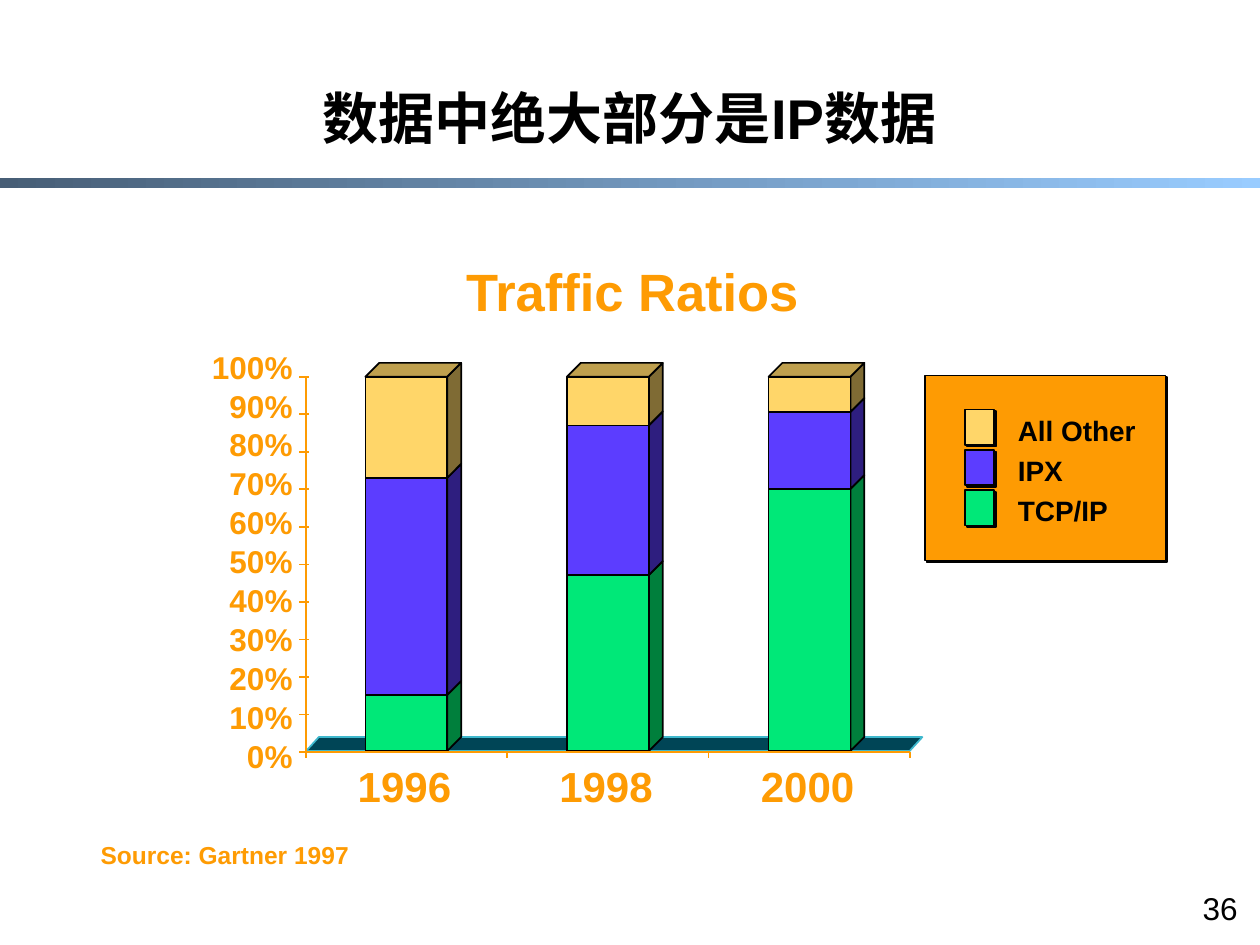
from dataclasses import dataclass

from lxml.etree import SubElement
from pptx import Presentation
from pptx.dml.color import RGBColor
from pptx.enum.shapes import MSO_CONNECTOR, MSO_SHAPE
from pptx.enum.text import MSO_ANCHOR, PP_ALIGN
from pptx.oxml.ns import qn
from pptx.util import Inches, Pt

BLACK = RGBColor(0x00, 0x00, 0x00)
ORANGE = RGBColor(0xFE, 0x9B, 0x03)
FLOOR_FILL = RGBColor(0x00, 0x45, 0x56)
FLOOR_LINE = RGBColor(0x3F, 0xB8, 0xCD)
CAP_FILL = RGBColor(0xBF, 0xA0, 0x4E)
RULE_DARK = RGBColor(0x47, 0x5E, 0x76)
RULE_LIGHT = RGBColor(0x99, 0xCC, 0xFF)

AXIS_LEFT, AXIS_RIGHT, AXIS_Y = 2.43, 7.22, 5.97
SCALE_HEIGHT = 2.98
BAR_LEFT, BAR_STEP, BAR_WIDTH = 2.9, 1.6, 0.65
BAR_BASE, BAR_HEIGHT, DEPTH = 5.96, 2.97, 0.11
LEGEND_STEP = 0.32


@dataclass(frozen=True)
class Series:
    name: str
    front: RGBColor
    side: RGBColor


@dataclass(frozen=True)
class Bar:
    year: str
    shares: tuple[float, ...]


@dataclass(frozen=True)
class Label:
    text: str
    left: float
    top: float
    width: float
    height: float
    size: int
    color: RGBColor = ORANGE
    bold: bool = True
    align: PP_ALIGN = PP_ALIGN.LEFT


SERIES = (
    Series("TCP/IP", RGBColor(0x00, 0xE8, 0x78), RGBColor(0x00, 0x7F, 0x3C)),
    Series("IPX", RGBColor(0x5C, 0x3D, 0xFF), RGBColor(0x2E, 0x1E, 0x7F)),
    Series("All Other", RGBColor(0xFF, 0xD6, 0x69), RGBColor(0x7F, 0x6B, 0x34)),
)
BARS = (
    Bar("1996", (15, 58, 27)),
    Bar("1998", (47, 40, 13)),
    Bar("2000", (70, 20.6, 9.4)),
)


def add_label(slide, label: Label):
    shape = slide.shapes.add_textbox(
        Inches(label.left), Inches(label.top), Inches(label.width), Inches(label.height)
    )
    shape.text_frame.word_wrap = True
    paragraph = shape.text_frame.paragraphs[0]
    paragraph.alignment = label.align
    run = paragraph.add_run()
    run.text = label.text
    run.font.name = "Arial"
    run.font.size = Pt(label.size)
    run.font.bold = label.bold
    run.font.color.rgb = label.color
    return shape


def add_polygon(slide, points: list[tuple[float, float]], fill: RGBColor, line: RGBColor = BLACK) -> None:
    corners = [(Inches(x), Inches(y)) for x, y in points]
    builder = slide.shapes.build_freeform(*corners[0], scale=1.0)
    builder.add_line_segments(corners[1:], close=True)
    shape = builder.convert_to_shape()
    shape.shadow.inherit = False
    shape.fill.solid()
    shape.fill.fore_color.rgb = fill
    shape.line.color.rgb = line
    shape.line.width = Pt(1)


def add_line(slide, x1: float, y1: float, x2: float, y2: float) -> None:
    connector = slide.shapes.add_connector(
        MSO_CONNECTOR.STRAIGHT, Inches(x1), Inches(y1), Inches(x2), Inches(y2)
    )
    connector.line.color.rgb = ORANGE
    connector.line.width = Pt(1)
    SubElement(connector._element.spPr, qn("a:effectLst"))


def add_shadowed_box(slide, left: float, top: float, width: float, height: float, fill: RGBColor) -> None:
    shape = slide.shapes.add_shape(
        MSO_SHAPE.RECTANGLE, Inches(left), Inches(top), Inches(width), Inches(height)
    )
    shape.fill.solid()
    shape.fill.fore_color.rgb = fill
    shape.line.color.rgb = BLACK
    shape.line.width = Pt(1)
    shape.shadow.inherit = False
    effects = shape._element.spPr.find(qn("a:effectLst"))
    shadow = SubElement(effects, qn("a:outerShdw"), dist=str(Pt(1.4)), dir="2700000")
    SubElement(shadow, qn("a:srgbClr"), val=str(BLACK))


def add_header(slide) -> None:
    rule = slide.shapes.add_shape(MSO_SHAPE.RECTANGLE, 0, Inches(1.41), Inches(10), Inches(0.08))
    rule.shadow.inherit = False
    rule.line.fill.background()
    rule.fill.gradient()
    rule.fill.gradient_angle = 0
    for stop, color in zip(rule.fill.gradient_stops, (RULE_DARK, RULE_LIGHT)):
        stop.color.rgb = color
    title = add_label(
        slide, Label("数据中绝大部分是IP数据", 1.08, 0.33, 7.83, 0.92, 32, BLACK, align=PP_ALIGN.CENTER)
    )
    title.text_frame.vertical_anchor = MSO_ANCHOR.BOTTOM
    title.text_frame.paragraphs[0].line_spacing = 0.9


def add_bar(slide, bar: Bar, left: float) -> None:
    right = left + BAR_WIDTH
    bottom = BAR_BASE
    for series, share in zip(SERIES, bar.shares):
        top = bottom - BAR_HEIGHT * share / 100
        add_polygon(
            slide,
            [(right, bottom), (right, top), (right + DEPTH, top - DEPTH), (right + DEPTH, bottom - DEPTH)],
            series.side,
        )
        add_polygon(slide, [(left, bottom), (left, top), (right, top), (right, bottom)], series.front)
        bottom = top
    add_polygon(
        slide,
        [(left, top), (left + DEPTH, top - DEPTH), (right + DEPTH, top - DEPTH), (right, top)],
        CAP_FILL,
    )
    add_label(slide, Label(bar.year, left - 0.16, 5.99, 0.94, 0.5, 24, align=PP_ALIGN.CENTER))


def add_axes(slide) -> None:
    add_line(slide, AXIS_LEFT, AXIS_Y, AXIS_RIGHT, AXIS_Y)
    add_line(slide, AXIS_LEFT, AXIS_Y, AXIS_LEFT, AXIS_Y - SCALE_HEIGHT)
    for index in range(11):
        tick_y = AXIS_Y - SCALE_HEIGHT * index / 10
        add_line(slide, 2.45, tick_y, 2.37, tick_y)
        add_label(
            slide,
            Label(f"{index * 10}%", 1.58, 5.8 - 3.09 * index / 10, 0.84, 0.4, 18, align=PP_ALIGN.RIGHT),
        )
    for index in range(len(BARS) + 1):
        tick_x = AXIS_LEFT + (AXIS_RIGHT - AXIS_LEFT) * index / len(BARS)
        add_line(slide, tick_x, AXIS_Y, tick_x, AXIS_Y + 0.05)


def add_legend(slide) -> None:
    add_shadowed_box(slide, 7.34, 2.98, 1.91, 1.47, ORANGE)
    for index, series in enumerate(reversed(SERIES)):
        offset = LEGEND_STEP * index
        add_shadowed_box(slide, 7.66, 3.25 + offset, 0.23, 0.28, series.front)
        add_label(slide, Label(series.name, 7.98, 3.23 + offset, 1.2, 0.36, 16, BLACK))


def main() -> None:
    presentation = Presentation()
    presentation.slide_width = Inches(10)
    presentation.slide_height = Inches(7.5)
    slide = presentation.slides.add_slide(presentation.slide_layouts[6])
    add_header(slide)
    add_polygon(
        slide,
        [(AXIS_LEFT, 5.96), (2.53, 5.85), (7.32, 5.85), (AXIS_RIGHT, 5.96)],
        FLOOR_FILL,
        FLOOR_LINE,
    )
    for index, bar in enumerate(BARS):
        add_bar(slide, bar, BAR_LEFT + BAR_STEP * index)
    add_axes(slide)
    add_legend(slide)
    add_label(slide, Label("Traffic Ratios", 3.3, 2.01, 3.44, 0.6, 30, align=PP_ALIGN.CENTER))
    add_label(slide, Label("Source: Gartner 1997", 0.7, 6.62, 2.3, 0.33, 14))
    add_label(slide, Label("36", 8.58, 7.01, 1.34, 0.4, 18, BLACK, False, PP_ALIGN.RIGHT))
    presentation.save("out.pptx")


if __name__ == "__main__":
    main()
